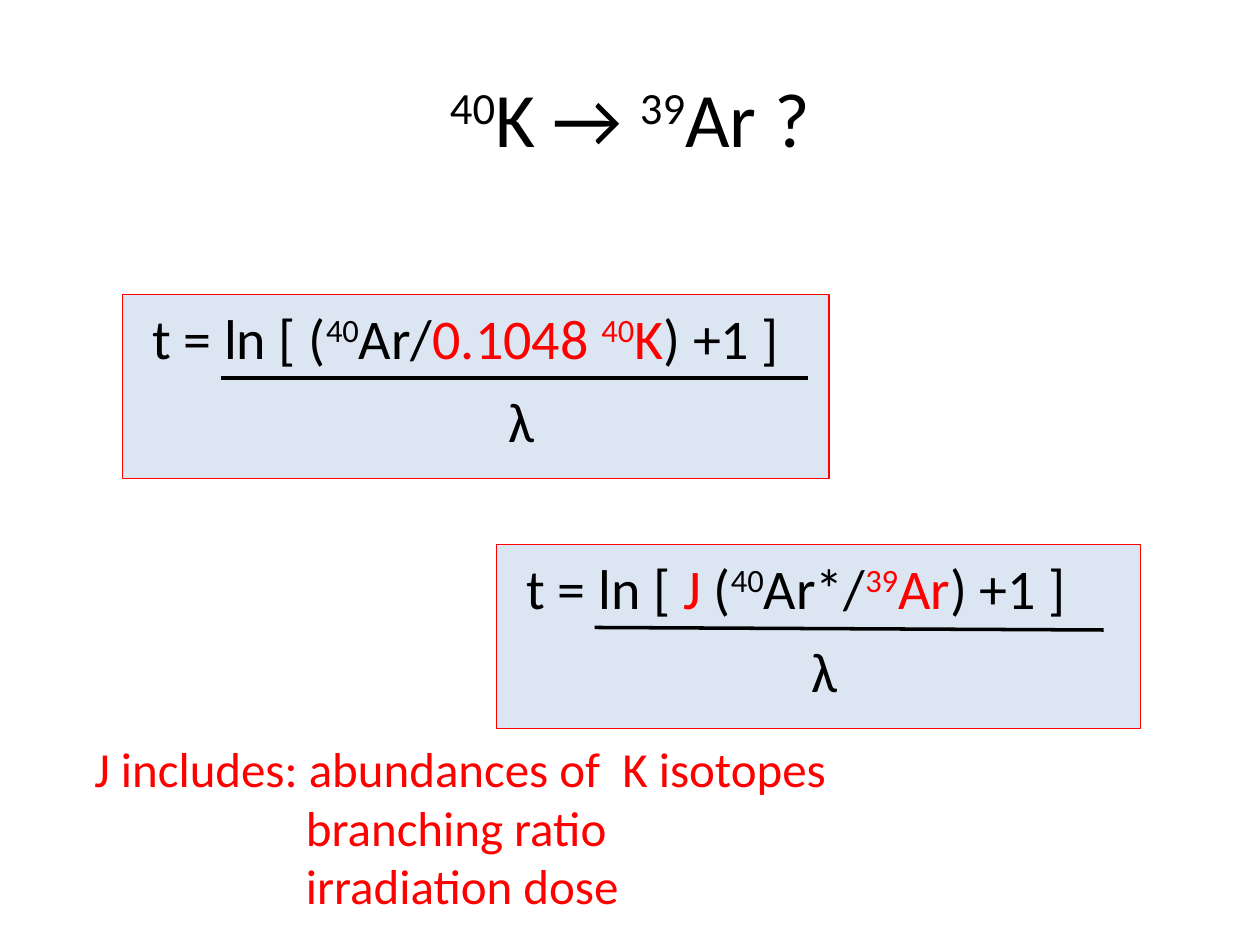
import pptx
import pptx.util
import pptx.dml.color
import pptx.enum.shapes
import pptx.enum.text
import pptx.oxml.ns
import lxml.etree

COLORS = {"ink": "000000", "accent": "FF0000", "panel": "DCE6F2"}
FONT = "Calibri"
SLIDE_WIDTH, SLIDE_HEIGHT = pptx.util.Inches(10), pptx.util.Inches(7.5)
COLUMNS, ROWS = 100, 75
ALIGN = pptx.enum.text.PP_ALIGN
ANCHOR = pptx.enum.text.MSO_ANCHOR


def across(columns):
    """Turn grid columns into a length."""
    return round(SLIDE_WIDTH * columns / COLUMNS)


def down(rows):
    """Turn grid rows into a length."""
    return round(SLIDE_HEIGHT * rows / ROWS)


def color(name):
    """Look up a named colour."""
    return pptx.dml.color.RGBColor.from_string(COLORS[name])


def add_run(paragraph, text, size=32, ink="ink", raised=False):
    """Add a formatted run, raised for a superscript."""
    run = paragraph.add_run()
    run.text = text
    run.font.name = FONT
    run.font.size = pptx.util.Pt(size)
    run.font.color.rgb = color(ink)
    if raised:
        run.font._element.set("baseline", "30000")


def add_text(slide, box, paragraphs, size=32, align=ALIGN.LEFT,
             anchor=ANCHOR.TOP, wrap=True, hanging=0):
    """Add paragraphs of (text, format) runs, indenting all but the first."""
    left, top, width, height = box
    shape = slide.shapes.add_textbox(across(left), down(top), across(width), down(height))
    frame = shape.text_frame
    frame.word_wrap = wrap
    frame.vertical_anchor = anchor
    for index, runs in enumerate(paragraphs):
        paragraph = frame.paragraphs[0] if index == 0 else frame.add_paragraph()
        paragraph.alignment = align
        if index and hanging:
            paragraph._p.get_or_add_pPr().set("marL", str(across(hanging)))
        for text, options in runs:
            add_run(paragraph, text, size=size, **options)


def add_panel(slide, left, top, width, height):
    """Add the outlined panel behind an equation."""
    shape = slide.shapes.add_shape(
        pptx.enum.shapes.MSO_SHAPE.RECTANGLE,
        across(left), down(top), across(width), down(height))
    shape.shadow.inherit = False
    shape.fill.solid()
    shape.fill.fore_color.rgb = color("panel")
    shape.line.color.rgb = color("accent")
    shape.line.width = pptx.util.Pt(0.75)


def add_bar(slide, left, top, width, drop):
    """Add a fraction bar."""
    bar = slide.shapes.add_connector(
        pptx.enum.shapes.MSO_CONNECTOR.STRAIGHT,
        across(left), down(top), across(left + width), down(top + drop))
    bar.line.color.rgb = color("ink")
    bar.line.width = pptx.util.Pt(2)
    lxml.etree.SubElement(bar._element.spPr, pptx.oxml.ns.qn("a:effectLst"))


def add_equation(slide, left, top, width, numerator, numerator_width,
                 bar_width, lambda_offset, bar_drop=0):
    """Add a panel holding a fraction over lambda."""
    add_panel(slide, left, top, width, 14.6)
    add_text(slide, (left + 1.4, top + 0.2, numerator_width, 6.4), [numerator], wrap=False)
    add_bar(slide, left + 7.8, top + 6.6, bar_width, bar_drop)
    add_text(slide, (left + lambda_offset, top + 6.8, 4.2, 6.4), [[("λ", {})]], wrap=False)


def main():
    """Build and save the slide."""
    presentation = pptx.Presentation()
    presentation.slide_width, presentation.slide_height = SLIDE_WIDTH, SLIDE_HEIGHT
    slide = presentation.slides.add_slide(presentation.slide_layouts[6])
    raised, red = {"raised": True}, {"ink": "accent"}

    title = [("40", raised), ("K → ", {}), ("39", raised), ("Ar ?", {})]
    add_text(slide, (5, 3, 90, 12.5), [title], size=44,
             align=ALIGN.CENTER, anchor=ANCHOR.MIDDLE)

    potassium = [("t = ln [ (", {}), ("40", raised), ("Ar/", {}), ("0.1048 ", red),
                 ("40", raised | red), ("K", red), (") +1 ]", {})]
    add_equation(slide, 9.7, 23.4, 56.1, potassium, 53, 46.6, 29.7)

    argon = [("t = ln [ ", {}), ("J", red), (" (", {}), ("40", raised), ("Ar*/", {}),
             ("39", raised | red), ("Ar", red), (") +1 ]", {})]
    add_equation(slide, 39.4, 43.2, 51.1, argon, 46, 40.4, 24, bar_drop=0.2)

    factors = ["J includes: abundances of  K isotopes", "branching ratio", "irradiation dose"]
    add_text(slide, (6.5, 58.1, 81.4, 15.1), [[(factor, red)] for factor in factors],
             size=28, hanging=16.8)
    presentation.save("out.pptx")


if __name__ == "__main__":
    main()
